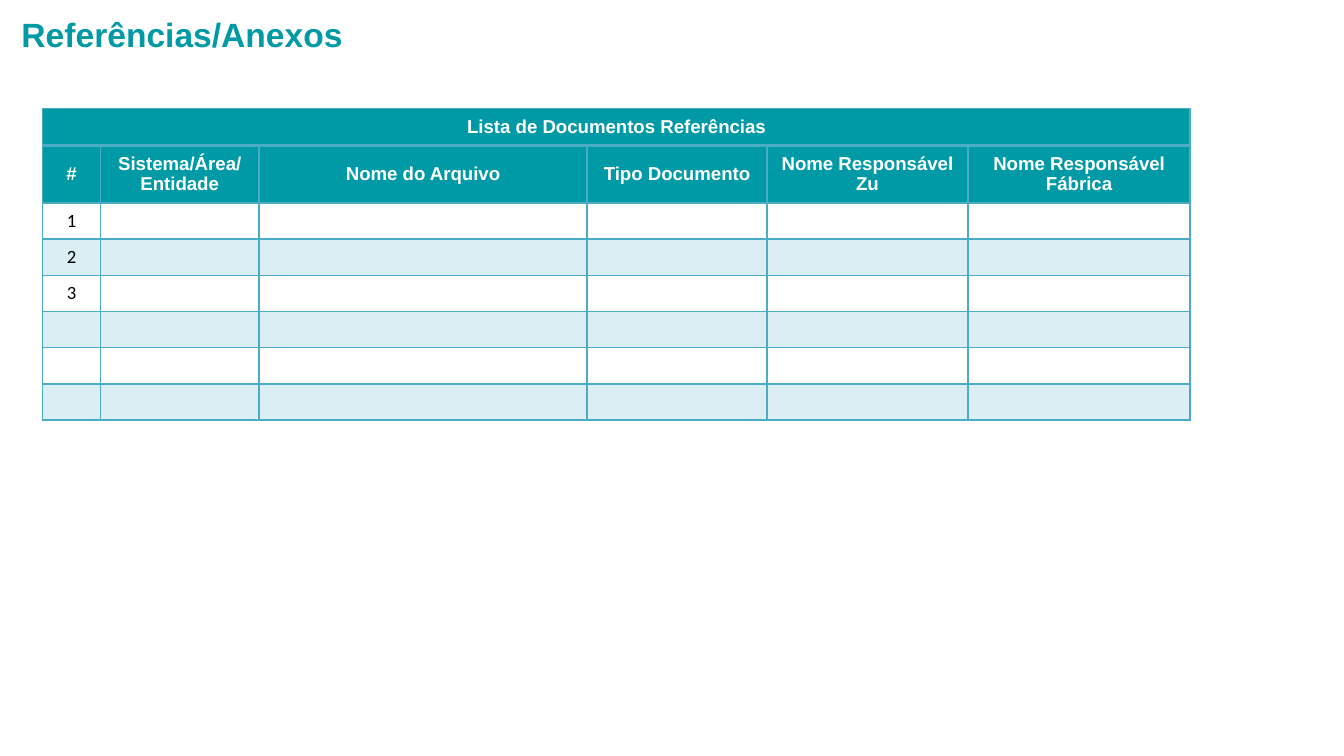
from typing import NamedTuple

import lxml.etree
import pptx
import pptx.dml.color
import pptx.enum.text
import pptx.oxml
import pptx.oxml.ns
import pptx.util

Pt = pptx.util.Pt
Align = pptx.enum.text.PP_ALIGN
Anchor = pptx.enum.text.MSO_ANCHOR
qn = pptx.oxml.ns.qn

TEAL, BLUE, WHITE, BLACK = "009AA6", "4BACC6", "FFFFFF", "000000"


class Style(NamedTuple):
    face: str
    size: float
    ink: str
    bold: bool


class Column(NamedTuple):
    head: str
    width: float


TITLE = Style("Arial", 18, TEAL, True)
HEAD = Style("Arial", 10, WHITE, True)
BODY = Style("Calibri", 10, BLACK, False)

COLUMNS = [
    Column("#", 31),
    Column("Sistema/Área/\nEntidade", 85),
    Column("Nome do Arquivo", 175.7),
    Column("Tipo Documento", 96.4),
    Column("Nome Responsável Zu", 107.7),
    Column("Nome Responsável Fábrica", 119.1),
]
NUMBERS = ["1", "2", "3", "", "", ""]
HEIGHTS = [19.6, 31] + [19.3] * len(NUMBERS)


def color(text: str) -> pptx.dml.color.RGBColor:
    return pptx.dml.color.RGBColor.from_string(text)


def write(frame, text: str, style: Style, align) -> None:
    frame.text = text
    for para in frame.paragraphs:
        para.alignment = align
        font = para.font
        font.name, font.size, font.bold = style.face, Pt(style.size), style.bold
        font.color.rgb = color(style.ink)
        if not text:
            # An empty line takes its height from its end mark.
            end = lxml.etree.SubElement(para._p, qn("a:endParaRPr"))
            end.set("sz", str(int(style.size * 100)))
            lxml.etree.SubElement(end, qn("a:latin")).set("typeface", style.face)


def border(cell, top: float = 1, bottom: float = 1) -> None:
    props = cell._tc.get_or_add_tcPr()
    sides = {"L": 1, "R": 1, "T": top, "B": bottom}
    for spot, (side, width) in enumerate(sides.items()):
        line = pptx.oxml.parse_xml(
            f'<a:ln{side} {pptx.oxml.ns.nsdecls("a")} w="{Pt(width)}">'
            f'<a:solidFill><a:srgbClr val="{BLUE}"/></a:solidFill></a:ln{side}>'
        )
        props.insert(spot, line)


def paint(cell, fill: str, alpha: int = 100) -> None:
    """Fill a cell; alpha is the opacity in percent."""
    cell.fill.solid()
    cell.fill.fore_color.rgb = color(fill)
    if alpha < 100:
        tint = cell._tc.tcPr.find(qn("a:solidFill"))[0]
        lxml.etree.SubElement(tint, qn("a:alpha")).set("val", str(alpha * 1000))


def put(cell, text: str, style: Style) -> None:
    write(cell.text_frame, text, style, Align.CENTER)
    cell.vertical_anchor = Anchor.MIDDLE


def add_title(slide) -> None:
    title = slide.shapes.title
    title.left, title.top = Pt(4.3), Pt(3.6)
    title.width, title.height = Pt(633.6), Pt(28.8)
    title.text_frame.vertical_anchor = Anchor.MIDDLE
    write(title.text_frame, "Referências/Anexos", TITLE, Align.LEFT)


def add_list(slide) -> None:
    width = sum(col.width for col in COLUMNS)
    table = slide.shapes.add_table(
        len(HEIGHTS), len(COLUMNS), Pt(22.8), Pt(58.2), Pt(width), Pt(sum(HEIGHTS))
    ).table
    table.horz_banding = False
    for row, height in zip(table.rows, HEIGHTS):
        row.height = Pt(height)

    for x, col in enumerate(COLUMNS):
        table.columns[x].width = Pt(col.width)
        top, head = table.cell(0, x), table.cell(1, x)
        put(top, "Lista de Documentos Referências" if x == 0 else "", HEAD)
        put(head, col.head, HEAD)
        border(top, bottom=2)
        border(head, top=2)
        paint(top, TEAL)
        paint(head, TEAL)
        for y, number in enumerate(NUMBERS):
            cell = table.cell(y + 2, x)
            put(cell, number if x == 0 else "", BODY)
            border(cell)
            if y % 2:
                paint(cell, BLUE, 20)
            else:
                cell.fill.background()
    table.cell(0, 0).merge(table.cell(0, len(COLUMNS) - 1))


def main() -> None:
    deck = pptx.Presentation()
    deck.slide_width, deck.slide_height = Pt(720), Pt(405)
    slide = deck.slides.add_slide(deck.slide_layouts[5])
    add_title(slide)
    add_list(slide)
    deck.save("out.pptx")


if __name__ == "__main__":
    main()
